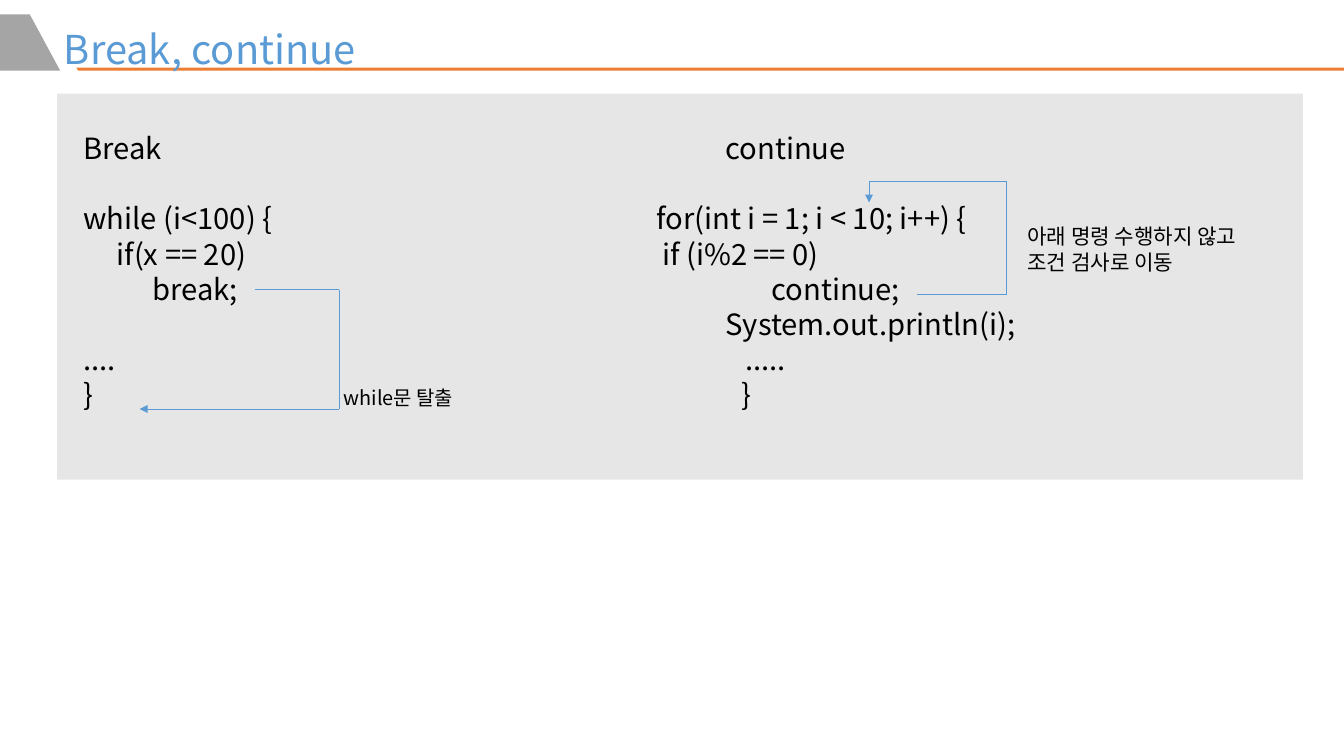
"""Build the slide that compares break and continue."""
from dataclasses import dataclass

from lxml import etree
from pptx import Presentation
from pptx.dml.color import RGBColor
from pptx.enum.shapes import MSO_CONNECTOR, MSO_SHAPE
from pptx.enum.text import MSO_ANCHOR, MSO_AUTO_SIZE, PP_ALIGN
from pptx.oxml.ns import qn
from pptx.util import Cm, Pt

STRAIGHT = MSO_CONNECTOR.STRAIGHT
RECTANGLE = MSO_SHAPE.RECTANGLE
TOP, MIDDLE = MSO_ANCHOR.TOP, MSO_ANCHOR.MIDDLE
NO_FIT = MSO_AUTO_SIZE.NONE
LEFT = PP_ALIGN.LEFT

FONT = "Noto Sans CJK KR"
BLUE, ORANGE, GRAY = "5B9BD5", "ED7D31", "A5A5A5"
PANEL, BLACK = "E7E6E6", "000000"
WIDTH, HEIGHT = 35.71, 20.09
CODE_SIZE, CODE_PITCH = 22, 26.5

Point = tuple[float, float]


@dataclass(frozen=True)
class Span:
    """A piece of text, placed at a tab stop unless it starts the row."""
    text: str
    tab: float = 0
    size: float = CODE_SIZE


@dataclass(frozen=True)
class Row:
    """One line of the code panel."""
    spans: tuple[Span, ...]
    before: float = 0


@dataclass(frozen=True)
class Outline:
    """A filled polygon."""
    points: tuple[Point, ...]
    color: str


HEADER = (
    Outline(((2.03, 1.8), (WIDTH, 1.8), (WIDTH, 1.88), (2.08, 1.88)), ORANGE),
    Outline(((0.79, 0.38), (1.6, 1.88), (0, 1.88), (0, 0.38)), GRAY),
)
ROWS = (
    Row((Span("Break"), Span("continue", 17.06))),
    Row((Span("while (i<100) {"), Span("for(int i = 1; i < 10; i++) {", 15.22)), CODE_PITCH),
    Row((Span("if(x == 20)", 0.88), Span("if (i%2 == 0)", 15.38))),
    Row((Span("break;", 1.83), Span("continue;", 18.28))),
    Row((Span("System.out.println(i);", 17.06),)),
    Row((Span("...."), Span(".....", 17.59))),
    Row((Span("}"), Span("while문 탈출", 6.91, 15), Span("}", 17.48))),
)
JUMPS = (
    ((6.78, 7.7), (9.02, 7.7), (9.02, 10.87), (3.71, 10.87)),
    ((24.36, 7.82), (26.75, 7.82), (26.75, 4.83), (23.09, 4.83), (23.09, 5.38)),
)
NOTE = ("아래 명령 수행하지 않고", "조건 검사로 이동")


def rgb(color: str) -> RGBColor:
    """Turn a hex string into a colour."""
    return RGBColor.from_string(color)


def style_span(span, size: float, color: str) -> None:
    """Set the typeface, size and colour of a run."""
    span.font.name = FONT
    span.font.size = Pt(size)
    span.font.color.rgb = rgb(color)
    etree.SubElement(span.font._element, qn("a:ea"), typeface=FONT)


def prepare_frame(frame, anchor, wrap: bool = True) -> None:
    """Clear the margins and fix the layout of a text frame."""
    frame.margin_left = frame.margin_right = 0
    frame.margin_top = frame.margin_bottom = 0
    frame.vertical_anchor = anchor
    frame.word_wrap = wrap
    frame.auto_size = NO_FIT


def paint(shape, color: str) -> None:
    """Give a shape a plain fill with no line or shadow."""
    shape.shadow.inherit = False
    shape.fill.solid()
    shape.fill.fore_color.rgb = rgb(color)
    shape.line.fill.background()


def add_outline(page, outline: Outline) -> None:
    """Draw a filled polygon."""
    points = [(Cm(x), Cm(y)) for x, y in outline.points]
    builder = page.shapes.build_freeform(*points[0], scale=1.0)
    builder.add_line_segments(points[1:], close=True)
    paint(builder.convert_to_shape(), outline.color)


def set_title(page) -> None:
    """Fill the title placeholder and bring it in front of the header."""
    title = page.shapes.title
    title.left, title.top, title.width, title.height = Cm(1.7), Cm(0.64), Cm(16.76), Cm(1.3)
    prepare_frame(title.text_frame, MIDDLE)
    title.text_frame.text = "Break, continue"
    para = title.text_frame.paragraphs[0]
    para.alignment = LEFT
    style_span(para.runs[0], 30, BLUE)
    page.shapes.element.append(title.element)


def fill_row(para, row: Row) -> None:
    """Write one code row with its own tab stops."""
    tabs = etree.SubElement(para._p.get_or_add_pPr(), qn("a:tabLst"))
    for item in row.spans:
        if item.tab:
            etree.SubElement(tabs, qn("a:tab"), pos=str(Cm(item.tab)), algn="l")
        span = para.add_run()
        span.text = f"\t{item.text}" if item.tab else item.text
        style_span(span, item.size, BLACK)
    para.alignment = LEFT
    para.line_spacing = Pt(CODE_PITCH)
    para.space_before = Pt(row.before)


def add_panel(page) -> None:
    """Draw the gray panel with both code samples."""
    panel = page.shapes.add_shape(RECTANGLE, Cm(1.52), Cm(2.49), Cm(33.1), Cm(10.26))
    paint(panel, PANEL)
    frame = panel.text_frame
    prepare_frame(frame, TOP)
    frame.margin_left, frame.margin_top = Cm(0.7), Cm(0.97)
    for index, row in enumerate(ROWS):
        fill_row(frame.add_paragraph() if index else frame.paragraphs[0], row)


def add_jump(page, points: tuple[Point, ...]) -> None:
    """Draw a jump as joined lines ending in an arrowhead."""
    for start, end in zip(points, points[1:]):
        line = page.shapes.add_connector(STRAIGHT, *map(Cm, start + end))
        line.line.color.rgb = rgb(BLUE)
        line.line.width = Pt(0.5)
        properties = line._element.spPr
        if end == points[-1]:
            etree.SubElement(properties.find(qn("a:ln")), qn("a:tailEnd"), type="triangle")
        etree.SubElement(properties, qn("a:effectLst"))


def add_note(page) -> None:
    """Explain the continue jump beside its arrow."""
    box = page.shapes.add_textbox(Cm(27.3), Cm(5.92), Cm(6.4), Cm(1.4))
    prepare_frame(box.text_frame, TOP, wrap=False)
    box.text_frame.text = "\n".join(NOTE)
    for para in box.text_frame.paragraphs:
        para.line_spacing = Pt(19.6)
        style_span(para.runs[0], 16, BLACK)


def main() -> None:
    """Build and save the deck."""
    deck = Presentation()
    deck.slide_width, deck.slide_height = Cm(WIDTH), Cm(HEIGHT)
    page = deck.slides.add_slide(deck.slide_layouts.get_by_name("Title Only"))
    for outline in HEADER:
        add_outline(page, outline)
    set_title(page)
    add_panel(page)
    for points in JUMPS:
        add_jump(page, points)
    add_note(page)
    deck.save("out.pptx")


if __name__ == "__main__":
    main()
